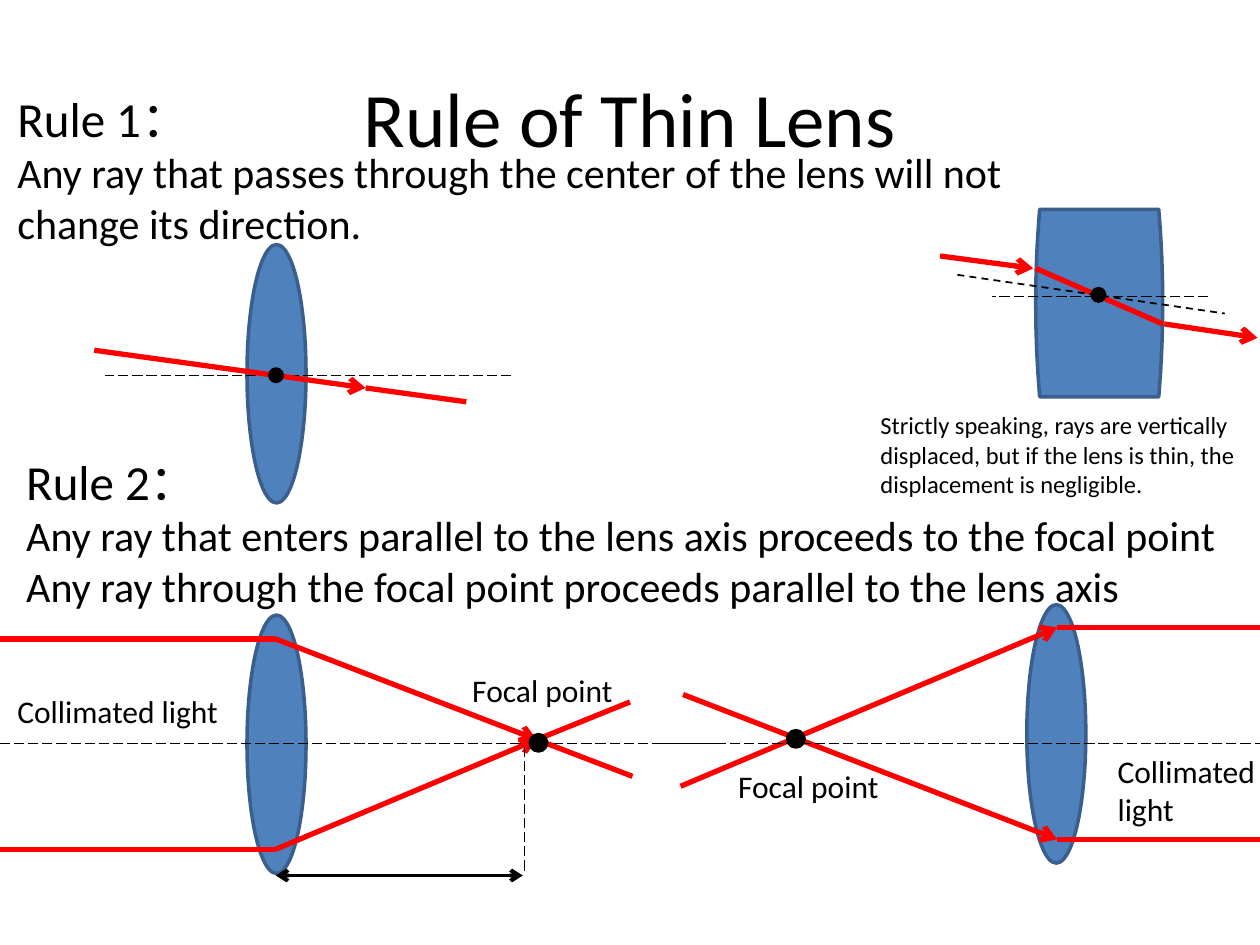
from dataclasses import dataclass

from lxml import etree
from pptx import Presentation
from pptx import util as u
from pptx.dml.color import RGBColor
from pptx.enum import dml, shapes, text
from pptx.oxml.ns import qn

COLORS = {"lens": "4F81BD", "edge": "3A5F8C", "ray": "FF0000", "ink": "000000"}
FONT = "Calibri"
LONG_DASH = dml.MSO_LINE.LONG_DASH
DASH = dml.MSO_LINE.DASH


@dataclass
class Label:
    left: float
    top: float
    width: float
    height: float
    lines: list[tuple[str, int]]
    wrap: bool = False
    title: bool = False


@dataclass
class Oval:
    left: float
    top: float
    width: float
    height: float
    fill: str = "lens"
    edge: str = "edge"


@dataclass
class Line:
    x1: float
    y1: float
    x2: float
    y2: float
    color: str = "ray"
    width: float = 3
    dash: dml.MSO_LINE | None = None
    head: bool = False
    tail: bool = False


def rgb(name: str) -> RGBColor:
    return RGBColor.from_string(COLORS[name])


def axis(x1: float, y1: float, x2: float, y2: float) -> Line:
    return Line(x1, y1, x2, y2, "ink", 0.75, LONG_DASH)


def dot(left: float, top: float, size: float) -> Oval:
    return Oval(left, top, size, size, "ink", "ink")


def lens(left: float, top: float) -> Oval:
    return Oval(left, top, 1.19, 5.21)


def paint(sp, fill: str, edge: str) -> None:
    sp.shadow.inherit = False
    sp.fill.solid()
    sp.fill.fore_color.rgb = rgb(fill)
    sp.line.color.rgb = rgb(edge)
    sp.line.width = u.Pt(2)


def draw_label(s, label: Label) -> None:
    box = (label.left, label.top, label.width, label.height)
    sp = s.shapes.add_textbox(*map(u.Cm, box))
    tf = sp.text_frame
    tf.word_wrap = label.wrap
    if label.title:
        tf.vertical_anchor = text.MSO_ANCHOR.MIDDLE
    else:
        tf.auto_size = text.MSO_AUTO_SIZE.SHAPE_TO_FIT_TEXT
    tf.text = "\n".join(line for line, _ in label.lines)
    for p, (_, size) in zip(tf.paragraphs, label.lines):
        p.alignment = text.PP_ALIGN.CENTER if label.title else text.PP_ALIGN.LEFT
        for r in p.runs:
            r.font.name = FONT
            r.font.size = u.Pt(size)
            r.font.color.rgb = rgb("ink")


def draw_oval(s, oval: Oval) -> None:
    box = (oval.left, oval.top, oval.width, oval.height)
    sp = s.shapes.add_shape(shapes.MSO_SHAPE.OVAL, *map(u.Cm, box))
    paint(sp, oval.fill, oval.edge)


def draw_thick_lens(s, cx: float, cy: float, half_width: float,
                    half_height: float, bulge: float, steps: int = 16) -> None:
    heights = [2 * i / steps - 1 for i in range(steps + 1)]
    right = [(cx + half_width - bulge * t * t, cy + half_height * t) for t in heights]
    left = [(2 * cx - x, y) for x, y in reversed(right)]
    points = [(u.Cm(x), u.Cm(y)) for x, y in right + left]
    builder = s.shapes.build_freeform(*points[0])
    builder.add_line_segments(points[1:], close=True)
    paint(builder.convert_to_shape(), "lens", "edge")


def draw_line(s, line: Line) -> None:
    ends = (line.x1, line.y1, line.x2, line.y2)
    sp = s.shapes.add_connector(shapes.MSO_CONNECTOR.STRAIGHT, *map(u.Cm, ends))
    sp.line.color.rgb = rgb(line.color)
    sp.line.width = u.Pt(line.width)
    if line.dash:
        sp.line.dash_style = line.dash
    ln = sp.line._get_or_add_ln()
    for tag, shown in (("a:headEnd", line.head), ("a:tailEnd", line.tail)):
        if shown:
            etree.SubElement(ln, qn(tag), type="arrow")
    etree.SubElement(sp._element.spPr, qn("a:effectLst"))


LABELS = [
    Label(1.27, 0.76, 22.86, 3.18, [("Rule of Thin Lens", 44)], True, True),
    Label(0.1, 1.65, 20.35, 3.51, [
        ("Rule 1：", 28),
        ("Any ray that passes through the center of the lens will "
         "not change its direction.", 24)], True),
    Label(0.28, 8.97, 24.69, 3.51, [
        ("Rule 2：", 28),
        ("Any ray that enters parallel to the lens axis proceeds to the focal point", 24),
        ("Any ray through the focal point proceeds parallel to the lens axis", 24)]),
    Label(17.5, 8.15, 7.85, 2.06, [
        ("Strictly speaking, rays are vertically displaced, but if the lens is thin, "
         "the displacement is negligible.", 14)], True),
    Label(0.1, 13.82, 4.6, 1.02, [("Collimated light", 18)]),
    Label(9.27, 13.41, 3.38, 1.02, [("Focal point", 18)]),
    Label(14.63, 15.34, 3.38, 1.02, [("Focal point", 18)]),
    Label(22.28, 15.04, 3.3, 1.8, [("Collimated", 18), ("light", 18)]),
]

LENSES = [lens(4.98, 4.93), lens(4.98, 12.4), lens(20.7, 12.19)]

CENTER_RAYS = [
    axis(10.31, 7.57, 2.11, 7.57),
    Line(1.9, 7.06, 7.37, 7.82, tail=True),
    Line(7.37, 7.82, 9.4, 8.1),
]

THICK_LENS_RAYS = [
    Line(20.88, 5.41, 23.44, 6.53),
    Line(23.47, 6.53, 25.35, 6.81, tail=True),
    Line(18.95, 5.16, 20.83, 5.41, tail=True),
    Line(19.3, 5.54, 24.69, 6.32, "ink", 1, DASH),
    axis(24.36, 5.97, 19.99, 5.97),
]

FOCUSING_RAYS = [axis(14.5, 14.99, -1.09, 14.99)]
for y, end_x, end_y in ((12.88, 12.75, 15.65), (17.12, 12.7, 14.15)):
    FOCUSING_RAYS += [
        Line(-1.09, y, 5.56, y),
        Line(5.56, y, 10.82, 14.91, tail=True),
        Line(10.82, 14.91, end_x, end_y),
    ]
FOCUSING_RAYS += [
    Line(10.54, 17.65, 5.56, 17.65, "ink", 2.25, head=True, tail=True),
    axis(10.57, 17.55, 10.57, 14.99),
]

COLLIMATED_RAYS = []
for y, start_x, start_y in ((16.92, 13.77, 14.0), (12.65, 13.72, 15.85)):
    COLLIMATED_RAYS += [
        Line(27.99, y, 21.31, y),
        Line(21.31, y, start_x, start_y, head=True),
    ]
COLLIMATED_RAYS.append(axis(28.93, 14.99, 13.34, 14.99))

DOTS = [dot(5.44, 7.44, 0.25), dot(22.02, 5.82, 0.25),
        dot(10.69, 14.81, 0.33), dot(15.88, 14.73, 0.33)]


def main() -> None:
    prs = Presentation()
    prs.slide_width, prs.slide_height = u.Cm(25.4), u.Cm(19.05)
    s = prs.slides.add_slide(prs.slide_layouts[6])
    for label in LABELS:
        draw_label(s, label)
    draw_thick_lens(s, 22.16, 6.11, 1.28, 1.89, 0.08)
    for oval in LENSES:
        draw_oval(s, oval)
    for line in CENTER_RAYS + FOCUSING_RAYS + THICK_LENS_RAYS + COLLIMATED_RAYS:
        draw_line(s, line)
    for oval in DOTS:
        draw_oval(s, oval)
    prs.save("out.pptx")


if __name__ == "__main__":
    main()
